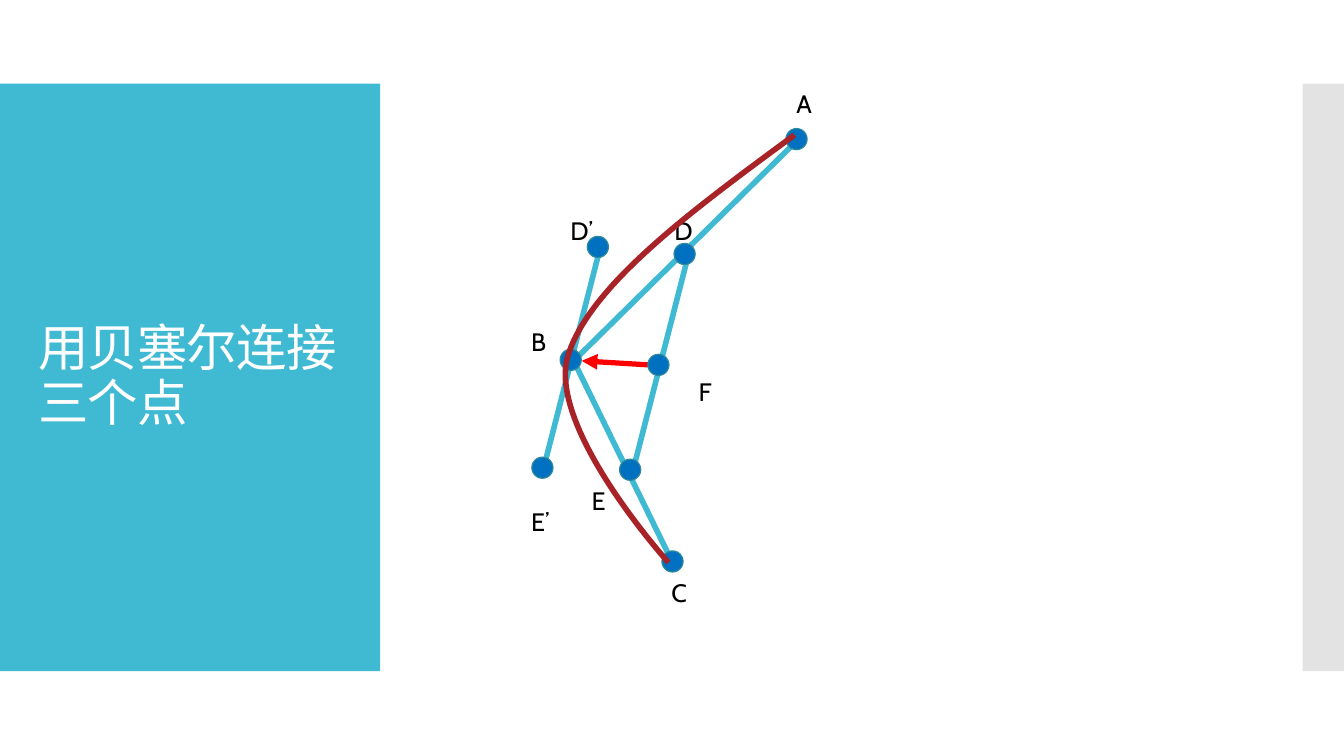
from typing import NamedTuple

from lxml import etree
from pptx import Presentation
from pptx import util as u
from pptx.dml.color import RGBColor
from pptx.enum import shapes, text
from pptx.oxml import ns

TEAL = RGBColor(0x40, 0xBA, 0xD2)
GREY = RGBColor(0xC8, 0xC8, 0xC8)
DOT_FILL = RGBColor(0x00, 0x70, 0xC0)
DOT_EDGE = RGBColor(0x2F, 0x8A, 0x9B)
CURVE_RED = RGBColor(0xA7, 0x23, 0x27)
ARROW_RED = RGBColor(0xFF, 0x00, 0x00)
WHITE = RGBColor(0xFF, 0xFF, 0xFF)
BLACK = RGBColor(0x00, 0x00, 0x00)

FONT = "Cabin"
DOT_SIZE = 0.21
CURVE_STEPS = 40


class Point(NamedTuple):
    x: float
    y: float


class Segment(NamedTuple):
    start: Point
    end: Point
    color: RGBColor = TEAL
    width: float = 4
    arrow: bool = False


class Label(NamedTuple):
    caption: str
    left: float
    top: float
    width: float
    wrap: bool = False


DOTS = [
    Point(7.9, 1.38),   # A
    Point(5.66, 3.57),  # B
    Point(6.67, 5.57),  # C
    Point(6.79, 2.52),  # D
    Point(6.25, 4.66),  # E
    Point(6.53, 3.62),  # F
    Point(5.93, 2.45),  # D’
    Point(5.38, 4.64),  # E’
]
SEGMENTS = [
    Segment(Point(5.39, 4.65), Point(5.94, 2.51)),
    Segment(Point(7.86, 1.44), Point(5.69, 3.58)),
    Segment(Point(6.67, 5.58), Point(5.69, 3.58)),
    Segment(Point(6.28, 4.66), Point(6.83, 2.52)),
    Segment(Point(6.43, 3.62), Point(5.77, 3.58), ARROW_RED, 3.75, True),
]
LABELS = [
    Label("A", 7.8, 0.83, 0.47, True),
    Label("B", 5.17, 3.19, 0.39, True),
    Label("C", 6.56, 5.68, 0.39, True),
    Label("D", 6.59, 2.09, 0.37),
    Label("E", 5.77, 4.77, 0.34),
    Label("F", 6.83, 3.68, 0.33),
    Label("D’", 5.56, 2.09, 0.43),
    Label("E’", 5.17, 4.97, 0.4),
]
CURVE = [
    (Point(7.88, 1.34), Point(6.86, 2.09), Point(5.84, 2.84), Point(5.63, 3.54)),
    (Point(5.63, 3.54), Point(5.43, 4.25), Point(6.63, 5.58), Point(6.63, 5.58)),
]


def add_panel(slide, left: float, width: float, color: RGBColor):
    panel = slide.shapes.add_shape(
        shapes.MSO_SHAPE.RECTANGLE,
        u.Inches(left), u.Inches(0.83), u.Inches(width), u.Inches(5.83))
    panel.shadow.inherit = False
    panel.fill.solid()
    panel.fill.fore_color.rgb = color
    panel.line.fill.background()
    slide.shapes.title.element.addprevious(panel.element)
    return panel


def add_run(paragraph, caption: str, size: float, color: RGBColor):
    run = paragraph.add_run()
    run.text = caption
    run.font.name = FONT
    run.font.size = u.Pt(size)
    run.font.color.rgb = color
    return run


def format_title(slide) -> None:
    title = slide.shapes.title
    title.left, title.top = u.Inches(0.28), u.Inches(1.23)
    title.width, title.height = u.Inches(3.22), u.Inches(5.03)
    frame = title.text_frame
    frame.word_wrap = True
    frame.auto_size = text.MSO_AUTO_SIZE.NONE
    frame.vertical_anchor = text.MSO_ANCHOR.MIDDLE
    paragraph = frame.paragraphs[0]
    paragraph.alignment = text.PP_ALIGN.LEFT
    paragraph.line_spacing = 0.9
    run = add_run(paragraph, "用贝塞尔连接三个点", 36, WHITE)
    run.font._element.set("spc", "-60")


def add_segment(slide, segment: Segment) -> None:
    connector = slide.shapes.add_connector(
        shapes.MSO_CONNECTOR.STRAIGHT,
        u.Inches(segment.start.x), u.Inches(segment.start.y),
        u.Inches(segment.end.x), u.Inches(segment.end.y))
    connector.line.color.rgb = segment.color
    connector.line.width = u.Pt(segment.width)
    properties = connector.element.spPr
    if segment.arrow:
        etree.SubElement(properties.find(ns.qn("a:ln")), ns.qn("a:tailEnd"), type="triangle")
    etree.SubElement(properties, ns.qn("a:effectLst"))


def add_dot(slide, center: Point) -> None:
    dot = slide.shapes.add_shape(
        shapes.MSO_SHAPE.OVAL,
        u.Inches(center.x - DOT_SIZE / 2), u.Inches(center.y - DOT_SIZE / 2),
        u.Inches(DOT_SIZE), u.Inches(DOT_SIZE))
    dot.shadow.inherit = False
    dot.fill.solid()
    dot.fill.fore_color.rgb = DOT_FILL
    dot.line.color.rgb = DOT_EDGE
    dot.line.width = u.Pt(0.85)


def add_label(slide, label: Label) -> None:
    box = slide.shapes.add_textbox(
        u.Inches(label.left), u.Inches(label.top), u.Inches(label.width), u.Inches(0.4))
    frame = box.text_frame
    frame.word_wrap = label.wrap
    frame.auto_size = text.MSO_AUTO_SIZE.SHAPE_TO_FIT_TEXT
    add_run(frame.paragraphs[0], label.caption, 18, BLACK)


def bezier_point(controls: tuple[Point, ...], t: float) -> tuple[int, int]:
    """Return the cubic Bézier point at t, in EMU."""
    weights = ((1 - t) ** 3, 3 * t * (1 - t) ** 2, 3 * t ** 2 * (1 - t), t ** 3)
    x = sum(weight * point.x for weight, point in zip(weights, controls))
    y = sum(weight * point.y for weight, point in zip(weights, controls))
    return u.Inches(x), u.Inches(y)


def add_curve(slide) -> None:
    start = CURVE[0][0]
    builder = slide.shapes.build_freeform(u.Inches(start.x), u.Inches(start.y))
    for controls in CURVE:
        builder.add_line_segments(
            [bezier_point(controls, step / CURVE_STEPS) for step in range(1, CURVE_STEPS + 1)],
            close=False)
    curve = builder.convert_to_shape()
    curve.shadow.inherit = False
    curve.fill.background()
    curve.line.color.rgb = CURVE_RED
    curve.line.width = u.Pt(4)


def main() -> None:
    presentation = Presentation()
    presentation.slide_width, presentation.slide_height = u.Inches(13.33), u.Inches(7.5)
    slide = presentation.slides.add_slide(presentation.slide_layouts[5])
    add_panel(slide, 0, 3.77, TEAL)
    side_panel = add_panel(slide, 12.92, 0.41, GREY)
    color = side_panel.element.spPr.find(".//" + ns.qn("a:srgbClr"))
    etree.SubElement(color, ns.qn("a:alpha"), val="50000")
    format_title(slide)
    for segment in SEGMENTS:
        add_segment(slide, segment)
    for dot in DOTS:
        add_dot(slide, dot)
    for label in LABELS:
        add_label(slide, label)
    add_curve(slide)
    presentation.save("out.pptx")


if __name__ == "__main__":
    main()
